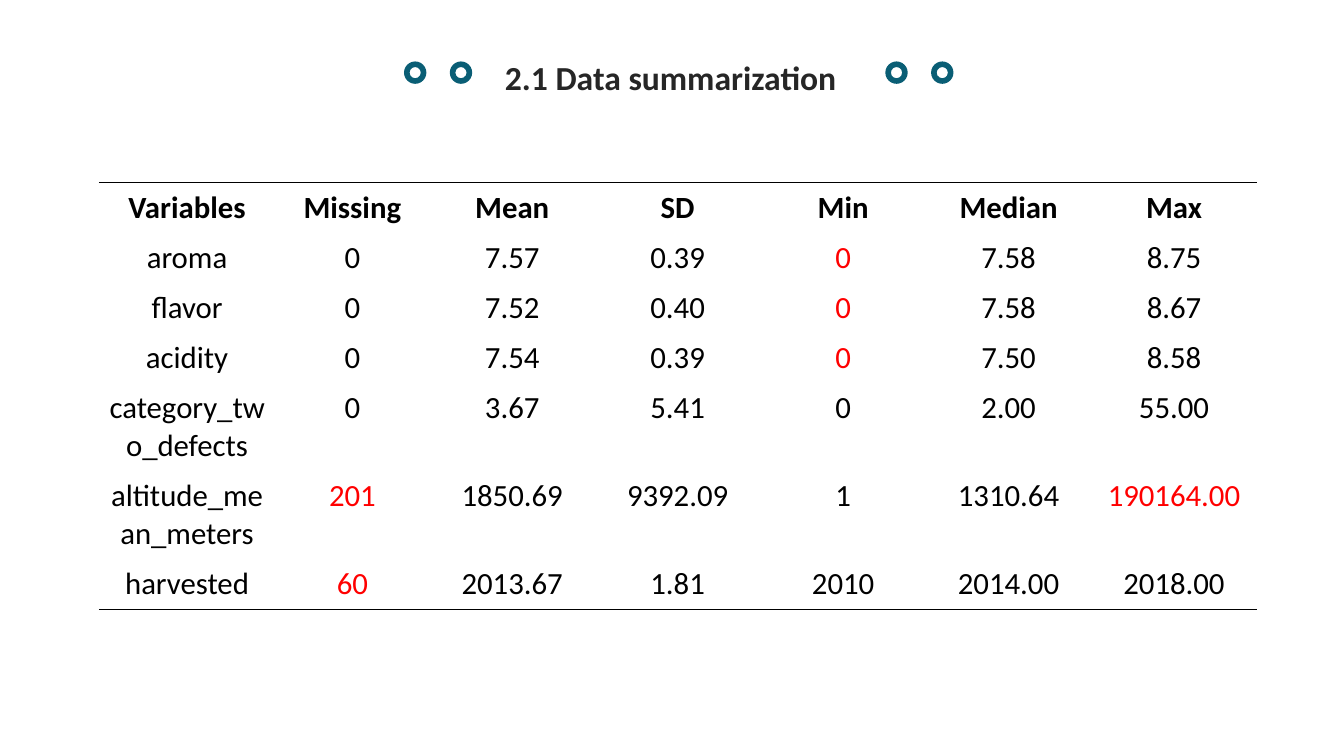
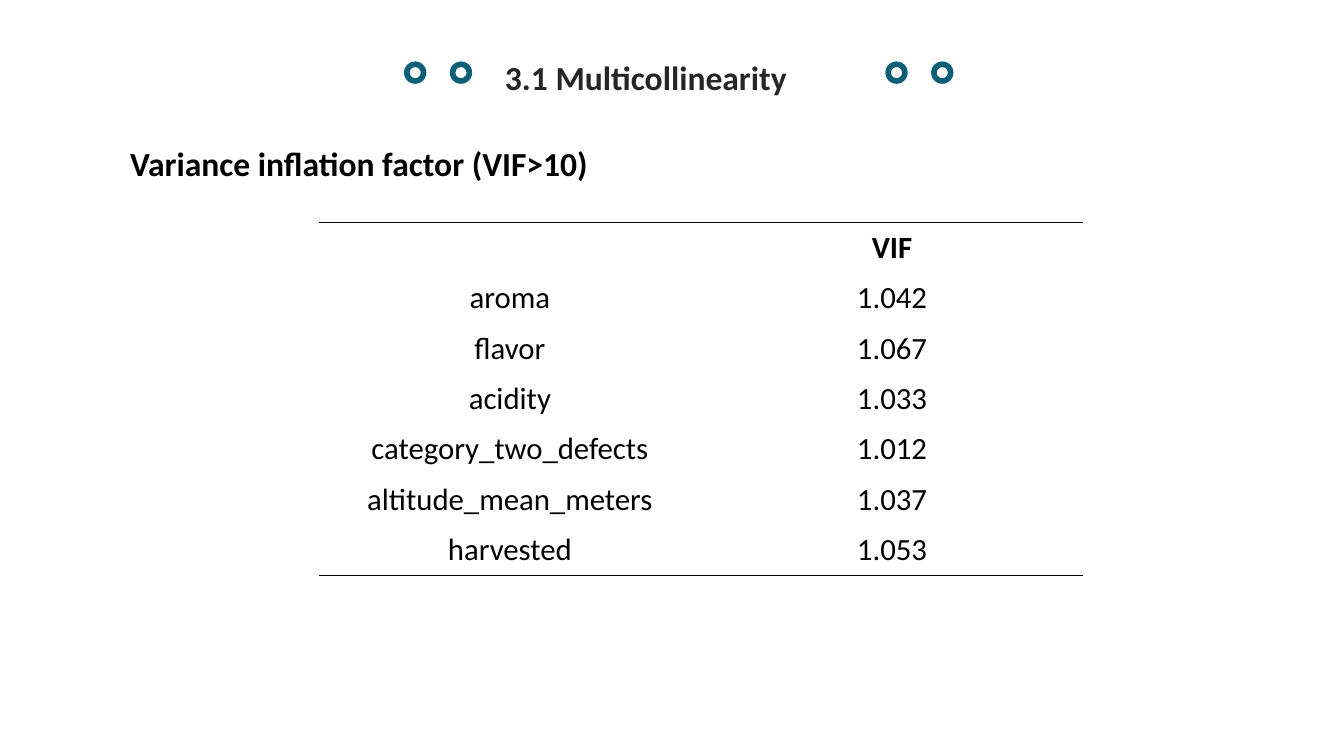
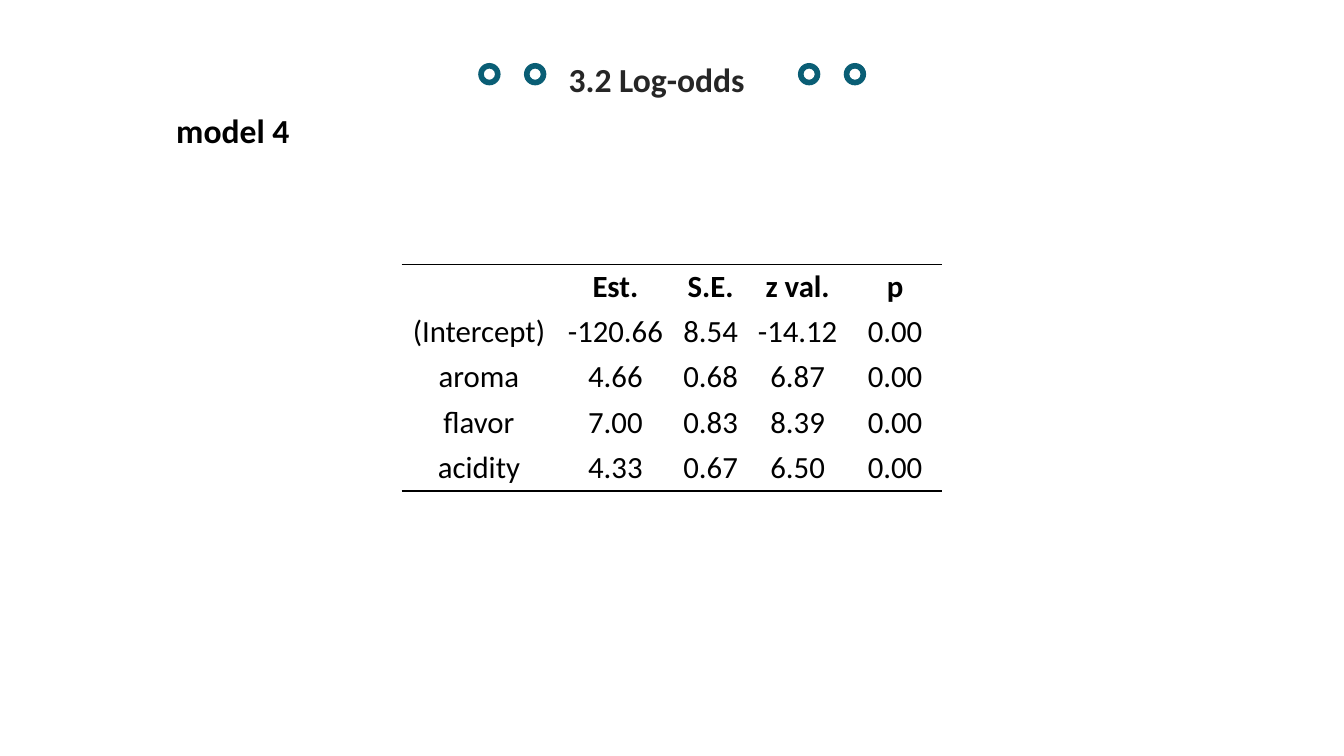
from lxml.etree import SubElement
from pptx import Presentation
from pptx.dml.color import RGBColor
from pptx.enum.shapes import MSO_SHAPE
from pptx.enum.text import MSO_ANCHOR as ANCHOR, PP_ALIGN as ALIGN
from pptx.oxml.ns import qn
from pptx.util import Pt

TEAL = RGBColor(0x0A, 0x5E, 0x75)
DARK = RGBColor(0x26, 0x26, 0x26)
BLACK = RGBColor(0, 0, 0)
RED = RGBColor(0xFF, 0, 0)
FONT = "Calibri"
HEADING_SIZE, TABLE_SIZE = 24, 22
RING_SIZE, RING_STEP = 16, 32.7
LINE_HEIGHT = 26.8
NO_STYLE = "{2D5ABB26-0587-4C30-8999-92F81FD0307C}"

SLIDES = [
    {
        "title": "2.1 Data summarization",
        "title_box": (353.5, 36.8, 262, 36),
        "rings": (288.6, 632.4, 43.9),
        "table": {
            "at": (70.6, 130.3),
            "cols": [126, 110.2] + [118.2] * 5,
            "row_height": 35.9,
            "inset": 4.5,
            "two_line_rows": {4, 5},
            "red": {(1, 4), (2, 4), (3, 4), (5, 1), (5, 6), (6, 1)},
            "rows": [
                ("Variables", "Missing", "Mean", "SD", "Min", "Median", "Max"),
                ("aroma", "0", "7.57", "0.39", "0", "7.58", "8.75"),
                ("flavor", "0", "7.52", "0.40", "0", "7.58", "8.67"),
                ("acidity", "0", "7.54", "0.39", "0", "7.50", "8.58"),
                ("category_two_defects", "0", "3.67", "5.41", "0", "2.00", "55.00"),
                ("altitude_mean_meters", "201", "1850.69", "9392.09", "1", "1310.64", "190164.00"),
                ("harvested", "60", "2013.67", "1.81", "2010", "2014.00", "2018.00"),
            ],
        },
    },
    {
        "title": "3.1 Multicollinearity",
        "title_box": (353.5, 36.8, 262, 36),
        "rings": (288.6, 632.4, 43.9),
        "label": ("Variance inflation factor (VIF>10)", (85.8, 98.5, 345, 36)),
        "table": {
            "at": (227.7, 159.2),
            "cols": [273, 273],
            "row_height": 36,
            "inset": 4.5,
            "rows": [
                ("", "VIF"),
                ("aroma", "1.042"),
                ("flavor", "1.067"),
                ("acidity", "1.033"),
                ("category_two_defects", "1.012"),
                ("altitude_mean_meters", "1.037"),
                ("harvested", "1.053"),
            ],
        },
    },
    {
        "title": "3.2 Log-odds",
        "title_box": (398.9, 38.2, 163, 36),
        "rings": (341.6, 570, 45),
        "label": ("model 4", (118.8, 75, 96, 36)),
        "table": {
            "at": (286.8, 188.7),
            "cols": [110.6, 84.4, 51.7, 72.6, 66.6],
            "row_height": 32.4,
            "inset": 2.7,
            "rows": [
                ("", "Est.", "S.E.", "z val.", "p"),
                ("(Intercept)", "-120.66", "8.54", "-14.12", "0.00"),
                ("aroma", "4.66", "0.68", "6.87", "0.00"),
                ("flavor", "7.00", "0.83", "8.39", "0.00"),
                ("acidity", "4.33", "0.67", "6.50", "0.00"),
            ],
        },
    },
]


def write(tf, text, size, color, bold, align):
    p = tf.paragraphs[0]
    p.text = text
    p.alignment = align
    p.font.name, p.font.size, p.font.bold = FONT, Pt(size), bold
    p.font.color.rgb = color


def heading(sp, text, box, color, align):
    sp.left, sp.top, sp.width, sp.height = map(Pt, box)
    tf = sp.text_frame
    tf.word_wrap = True
    tf.vertical_anchor = ANCHOR.TOP
    write(tf, text, HEADING_SIZE, color, True, align)


def add_rings(s, left, right, top):
    for x in (left, left + RING_STEP, right, right + RING_STEP):
        sp = s.shapes.add_shape(MSO_SHAPE.DONUT, Pt(x), Pt(top), Pt(RING_SIZE), Pt(RING_SIZE))
        sp.shadow.inherit = False
        sp.fill.solid()
        sp.fill.fore_color.rgb = TEAL
        sp.line.fill.background()


def add_border(cell, side):
    ln = SubElement(cell._tc.get_or_add_tcPr(), qn(f"a:{side}"), w=str(Pt(1)))
    fill = SubElement(ln, qn("a:solidFill"))
    SubElement(fill, qn("a:srgbClr"), val=str(BLACK))


def add_data_table(s, data):
    rows, cols = data["rows"], data["cols"]
    tall = data.get("two_line_rows", set())
    heights = [data["row_height"] + LINE_HEIGHT * (i in tall) for i in range(len(rows))]
    left, top = data["at"]
    table = s.shapes.add_table(
        len(rows), len(cols), Pt(left), Pt(top), Pt(sum(cols)), Pt(sum(heights))
    ).table
    table.first_row = table.horz_banding = False
    table._tbl.tblPr.find(qn("a:tableStyleId")).text = NO_STYLE
    for col, width in zip(table.columns, cols):
        col.width = Pt(width)
    for i, values in enumerate(rows):
        table.rows[i].height = Pt(heights[i])
        for j, value in enumerate(values):
            cell = table.cell(i, j)
            inset = Pt(data["inset"])
            cell.margin_left = cell.margin_right = inset
            cell.margin_top = cell.margin_bottom = inset
            cell.vertical_anchor = ANCHOR.BOTTOM if i == 0 else ANCHOR.TOP
            color = RED if (i, j) in data.get("red", ()) else BLACK
            write(cell.text_frame, value, TABLE_SIZE, color, i == 0, ALIGN.CENTER)
            if i == 0:
                add_border(cell, "lnT")
            if i == len(rows) - 1:
                add_border(cell, "lnB")
            cell.fill.background()


def main():
    prs = Presentation()
    prs.slide_width, prs.slide_height = Pt(960), Pt(540)
    for data in SLIDES:
        s = prs.slides.add_slide(prs.slide_layouts[5])
        heading(s.shapes.title, data["title"], data["title_box"], DARK, ALIGN.JUSTIFY)
        add_rings(s, *data["rings"])
        add_data_table(s, data["table"])
        if "label" in data:
            text, box = data["label"]
            heading(s.shapes.add_textbox(*map(Pt, box)), text, box, BLACK, ALIGN.LEFT)
    prs.save("out.pptx")


if __name__ == "__main__":
    main()
